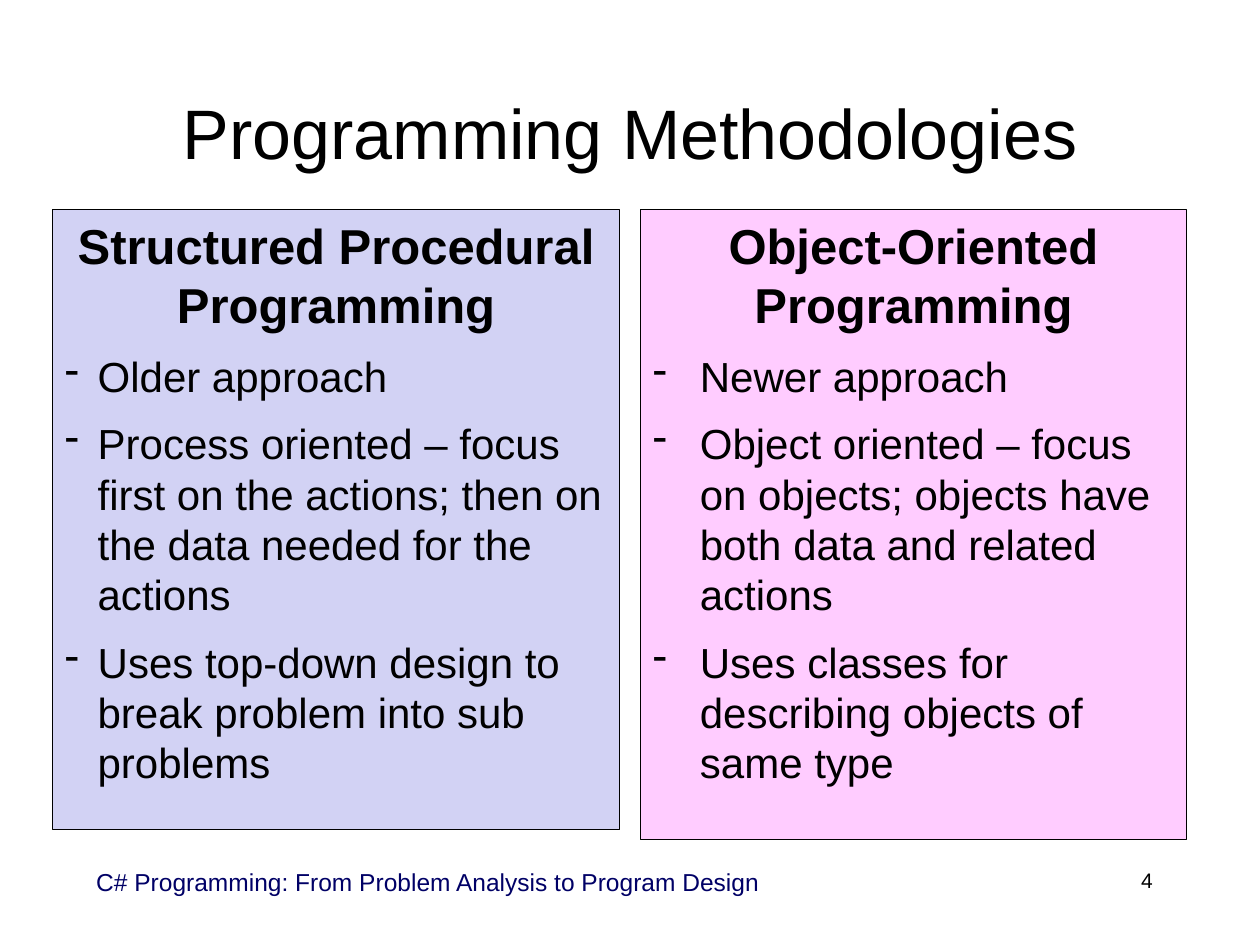
from lxml import etree
from pptx import Presentation
from pptx.dml.color import RGBColor
from pptx.enum.shapes import MSO_SHAPE
from pptx.enum.text import MSO_ANCHOR, PP_ALIGN
from pptx.oxml.ns import qn
from pptx.util import Cm, Pt

BLACK = RGBColor(0x00, 0x00, 0x00)
NAVY = RGBColor(0x00, 0x00, 0x66)
LAVENDER = RGBColor(0xD2, 0xD2, 0xF4)
PINK = RGBColor(0xFF, 0xCC, 0xFF)

RECTANGLE = MSO_SHAPE.RECTANGLE
TOP, MIDDLE = MSO_ANCHOR.TOP, MSO_ANCHOR.MIDDLE
LEFT, CENTER, RIGHT = PP_ALIGN.LEFT, PP_ALIGN.CENTER, PP_ALIGN.RIGHT

PANEL_TOP = 4.23
FOOTER_TOP = 17.36


class SlideBuilder:
    font_name = "Arial"
    heading_size = 28
    bullet_size = 24
    bullet_gap = Pt(9.6)

    def __init__(self, page):
        self.page = page

    def style(self, para, size, color=BLACK, bold=False, align=LEFT):
        para.alignment = align
        para.font.name = self.font_name
        para.font.size = Pt(size)
        para.font.bold = bold
        para.font.color.rgb = color

    def label(self, text, left, top, width, height, size,
              color=BLACK, align=LEFT, anchor=TOP):
        box = self.page.shapes.add_textbox(Cm(left), Cm(top), Cm(width), Cm(height))
        frame = box.text_frame
        frame.word_wrap = True
        frame.vertical_anchor = anchor
        para = frame.paragraphs[0]
        para.text = text
        self.style(para, size, color, align=align)

    def panel(self, heading, points, left, width, height, fill, indent):
        """Draw a filled box with a bold heading above dashed points."""
        box = self.page.shapes.add_shape(
            RECTANGLE, Cm(left), Cm(PANEL_TOP), Cm(width), Cm(height))
        box.shadow.inherit = False
        box.fill.solid()
        box.fill.fore_color.rgb = fill
        box.line.color.rgb = BLACK
        box.line.width = Pt(0.75)
        frame = box.text_frame
        frame.word_wrap = True
        frame.vertical_anchor = TOP
        title = frame.paragraphs[0]
        title.text = heading
        self.style(title, self.heading_size, bold=True, align=CENTER)
        for point in points:
            self.bullet(frame.add_paragraph(), point, indent)

    def bullet(self, para, text, indent):
        para.text = text
        para.space_before = self.bullet_gap
        properties = para._p.get_or_add_pPr()
        properties.set("marL", str(Cm(indent)))
        properties.set("indent", str(-Cm(indent)))
        etree.SubElement(properties, qn("a:buChar")).set("char", "-")
        self.style(para, self.bullet_size)


def main():
    deck = Presentation()
    deck.slide_width, deck.slide_height = Cm(25.4), Cm(19.05)
    builder = SlideBuilder(deck.slides.add_slide(deck.slide_layouts[6]))

    builder.label("Programming Methodologies", 1.9, 1.06, 21.6, 3.18, 40,
                  align=CENTER, anchor=MIDDLE)
    builder.panel(
        "Object-Oriented Programming",
        ["Newer approach",
         "Object oriented – focus on objects; objects have both data "
         "and related actions",
         "Uses classes for describing objects of same type"],
        left=12.91, width=11.01, height=12.7, fill=PINK, indent=0.95)
    builder.label("C# Programming: From Problem Analysis to Program Design",
                  1.69, FOOTER_TOP, 15.03, 1.27, 14, NAVY)
    builder.label("4", 18.2, FOOTER_TOP, 5.29, 1.27, 12, align=RIGHT)
    builder.panel(
        "Structured Procedural Programming",
        ["Older approach",
         "Process oriented – focus first on the actions; then on the data "
         "needed for the actions",
         "Uses top-down design to break problem into sub problems"],
        left=1.06, width=11.43, height=12.49, fill=LAVENDER, indent=0.66)

    deck.save("out.pptx")


if __name__ == "__main__":
    main()
